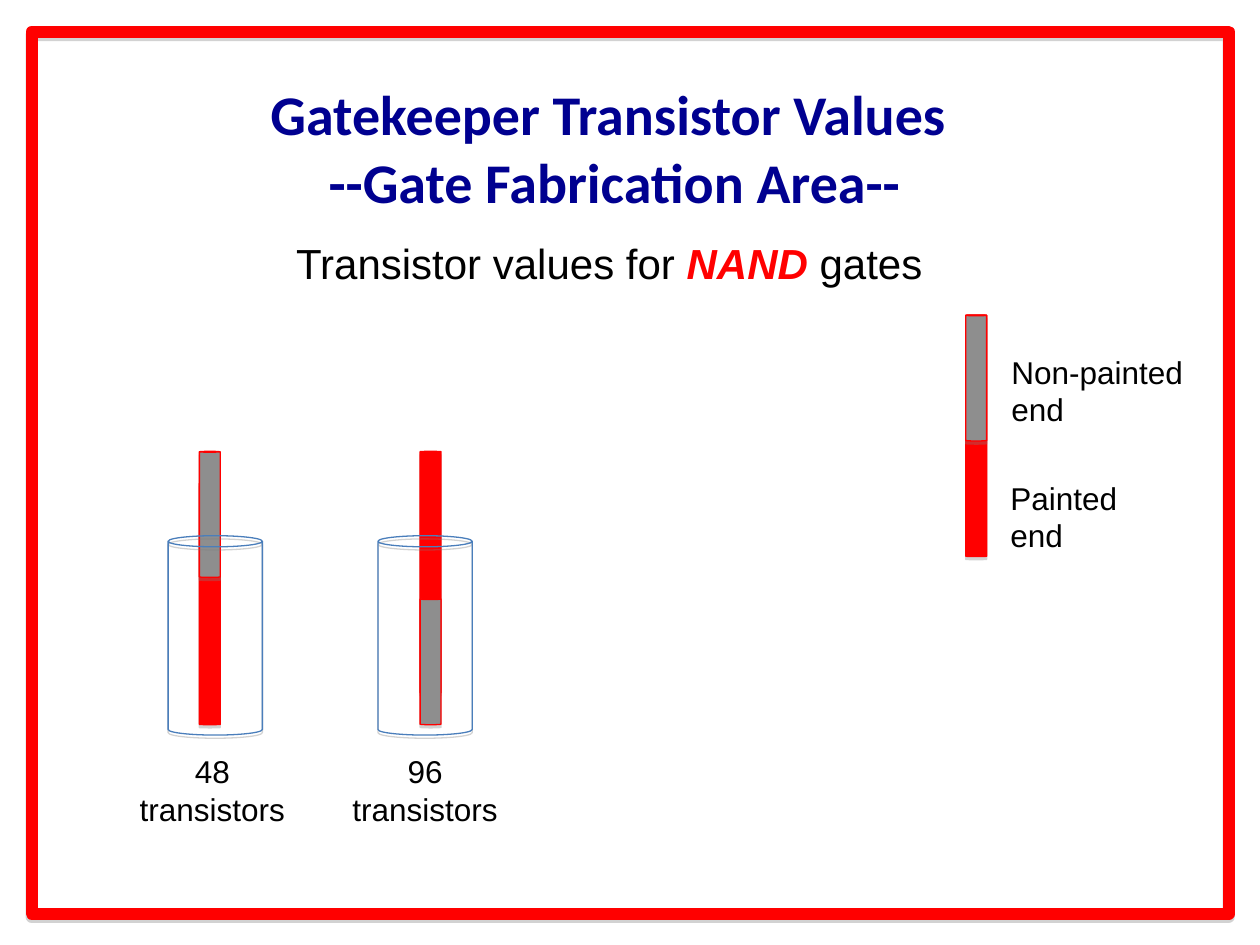
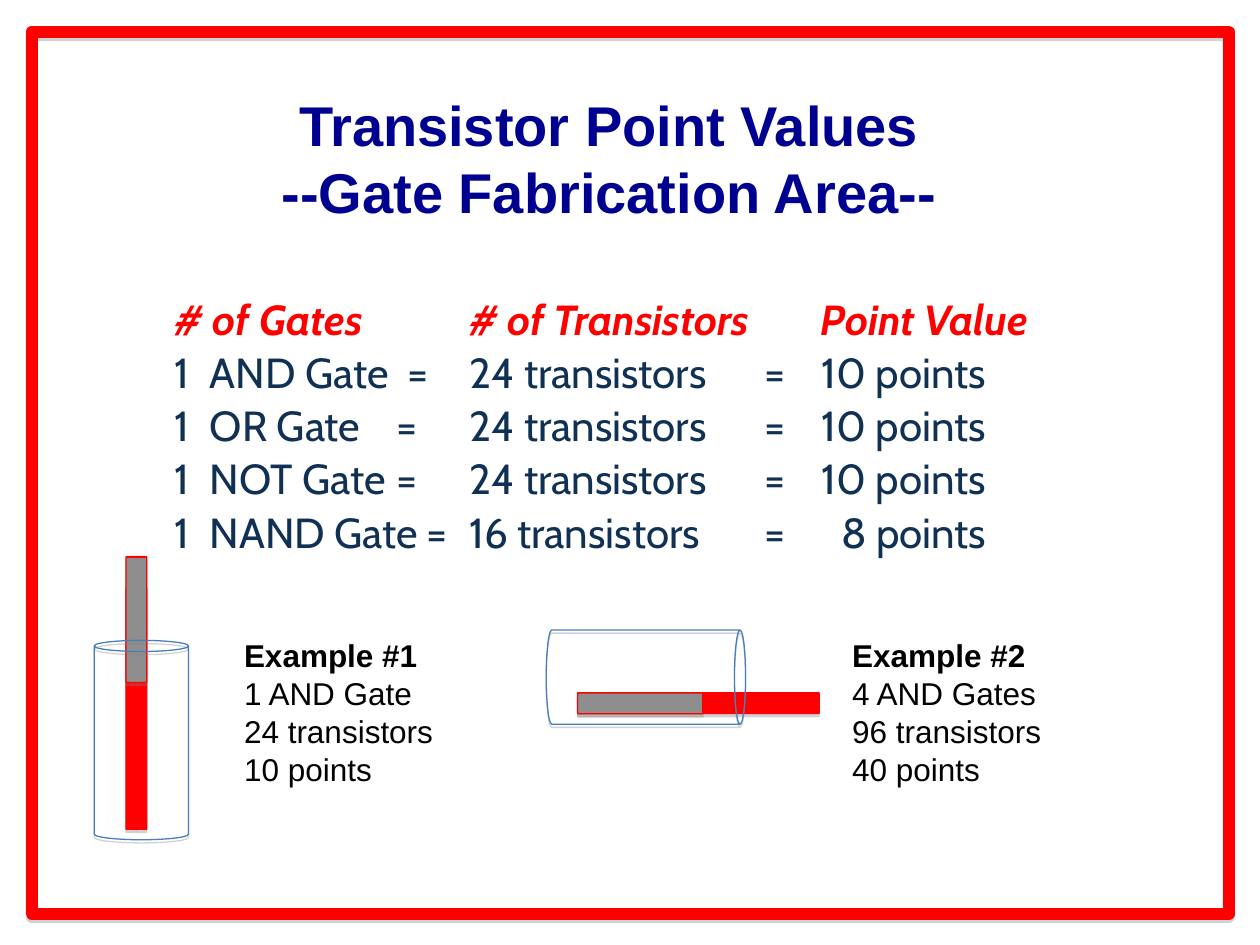
from dataclasses import dataclass

from lxml import etree
from pptx import Presentation
from pptx.dml.color import RGBColor
from pptx.enum.shapes import MSO_SHAPE
from pptx.enum.text import MSO_ANCHOR, PP_ALIGN
from pptx.oxml.ns import qn
from pptx.util import Cm, Pt

CAN, RECT = MSO_SHAPE.CAN, MSO_SHAPE.RECTANGLE
LEFT, CENTER = PP_ALIGN.LEFT, PP_ALIGN.CENTER
TOP, MIDDLE = MSO_ANCHOR.TOP, MSO_ANCHOR.MIDDLE


@dataclass(frozen=True)
class Theme:
    red: str = "FF0000"
    grey: str = "8E8E8E"
    blue: str = "4A7EBB"
    navy: str = "000090"
    ink: str = "103154"
    black: str = "000000"
    shadow: str = "808080"
    title: int = 32
    lead: int = 24
    body: int = 18
    sans: str = "Arial"
    table: str = "Cabin"


T = Theme()

# Content: lengths in cm, boxes are left, top, width, height
EMPHASIS = dict(color=T.red, bold=True, italic=True)
AREA = "--Gate Fabrication Area--"
VALUES_TITLE = ["Gatekeeper Transistor Values ", AREA]
POINTS_TITLE = ["Transistor Point Values", AREA]
LEAD = [[("Transistor values for ", {}), ("NAND ", EMPHASIS), ("gates", {})]]

LEGEND = [
    ((20.14, 6.98, 4.2, 1.78), ["Non-painted", "end"]),
    ((20.12, 9.52, 4.2, 1.78), ["Painted", "end"]),
]
COUNTS = [
    ((2.27, 15.03, 4.02, 1.78), ["48", "transistors"]),
    ((6.56, 15.03, 4.02, 1.78), ["96", "transistors"]),
]
EXAMPLES = [
    ((4.67, 12.7, 5, 3.3), "Example #1", ["1 AND Gate", "24 transistors", "10 points"]),
    ((16.93, 12.7, 6.55, 3.3), "Example #2", ["4 AND Gates", "96 transistors", "40 points"]),
]

# Score rows: gate, place of the first equals sign, transistors, points
HEADINGS = ("# of Gates", "# of Transistors", "Point Value")
HEADING_TABS = [(5.94, "l"), (13.03, "l")]
SCORES = [
    ("AND Gate", 4.7, 24, 10),
    ("OR Gate", 4.47, 24, 10),
    ("NOT Gate", 4.47, 24, 10),
    ("NAND Gate", 5.08, 16, 8),
]

# Can parts: width, height, rim, fill, line
CANS = {
    "painted": (0.42, 4.87, 0.022, T.red, T.red),
    "bare": (0.42, 2.54, 0.042, T.grey, T.red),
    "tube": (1.9, 4.02, 0.118, None, T.blue),
}
# Placed cans: part, left, top, rotation
VALUES_CANS = [
    ("painted", 19.47, 6.35, 0), ("bare", 19.47, 6.35, 0),
    ("painted", 4.02, 9.74, 0), ("bare", 4.02, 9.1, 0),
    ("painted", 8.47, 9.1, 0), ("bare", 8.47, 12.07, 0),
    ("tube", 7.62, 10.8, 0), ("tube", 3.39, 10.8, 0),
]
POINTS_CANS = [
    ("painted", 2.54, 11.85, 0), ("bare", 2.54, 11.22, 0), ("tube", 1.9, 12.91, 0),
    ("painted", 13.87, 11.74, 90), ("bare", 12.7, 12.91, 90), ("tube", 12.07, 11.64, 90),
]


def add_shadow(effects, dist=1.8, angle=90):
    shadow = etree.SubElement(effects, qn("a:outerShdw"), blurRad="0",
                              dist=str(Pt(dist)), dir=str(angle * 60000),
                              rotWithShape="0")
    color = etree.SubElement(shadow, qn("a:srgbClr"), val=T.shadow)
    etree.SubElement(color, qn("a:alpha"), val="35000")


def add_text(s, box, paras, font=T.sans, size=T.body, color=T.black, bold=False,
             italic=False, align=LEFT, anchor=TOP, inset=0.25, shadow=False,
             spacing=None, after=0, tabs=()):
    """Paragraphs are strings or lists of (text, overrides); tabs has one list each."""
    tf = s.shapes.add_textbox(*map(Cm, box)).text_frame
    tf.word_wrap = True
    tf.vertical_anchor = anchor
    tf.margin_left = tf.margin_right = Cm(inset)
    tf.margin_top = tf.margin_bottom = Cm(0.13)
    base = dict(color=color, bold=bold, italic=italic)
    for i, para in enumerate(paras):
        p = tf.paragraphs[0] if i == 0 else tf.add_paragraph()
        p.alignment = align
        p.space_after = Pt(after)
        if spacing:
            p.line_spacing = spacing
        if tabs:
            stops = etree.SubElement(p._p.get_or_add_pPr(), qn("a:tabLst"))
            for pos, side in tabs[i]:
                etree.SubElement(stops, qn("a:tab"), pos=str(Cm(pos)), algn=side)
        for text, changes in [(para, {})] if isinstance(para, str) else para:
            look = {**base, **changes}
            r = p.add_run()
            r.text = text
            r.font.name, r.font.size = font, Pt(size)
            r.font.bold, r.font.italic = look["bold"], look["italic"]
            r.font.color.rgb = RGBColor.from_string(look["color"])
            if shadow:
                effects = etree.Element(qn("a:effectLst"))
                add_shadow(effects, 3, 45)
                r._r.rPr.find(qn("a:solidFill")).addnext(effects)


def add_outline(s, kind, box, line, width, fill=None):
    sp = s.shapes.add_shape(kind, *map(Cm, box))
    if fill:
        sp.fill.solid()
        sp.fill.fore_color.rgb = RGBColor.from_string(fill)
    else:
        sp.fill.background()
    sp.line.color.rgb = RGBColor.from_string(line)
    sp.line.width = Pt(width)
    sp.shadow.inherit = False
    add_shadow(sp._element.spPr.find(qn("a:effectLst")))
    return sp


def add_cans(s, cans):
    for part, left, top, rotation in cans:
        width, height, rim, fill, line = CANS[part]
        sp = add_outline(s, CAN, (left, top, width, height), line, 0.75, fill)
        sp.adjustments[0] = rim
        sp.rotation = rotation


def add_framed_slide(prs, title, box, **look):
    s = prs.slides.add_slide(prs.slide_layouts[6])
    add_outline(s, RECT, (0.64, 0.64, 24.13, 17.78), T.red, 7)
    add_text(s, box, title, size=T.title, color=T.navy, bold=True, align=CENTER, **look)
    return s


def build_values(prs):
    s = add_framed_slide(prs, VALUES_TITLE, (4.45, 1.48, 15.88, 2.96), font="Calibri")
    add_text(s, (5.72, 4.66, 13.55, 1.28), LEAD, size=T.lead, shadow=True)
    add_cans(s, VALUES_CANS)
    for box, lines in LEGEND:
        add_text(s, box, lines)
    for box, lines in COUNTS:
        add_text(s, box, lines, align=CENTER)


def build_points(prs):
    s = add_framed_slide(prs, POINTS_TITLE, (4.66, 1.69, 15.24, 2.96), shadow=True)

    # Score list, aligned by tab stops
    rows, tabs = [[("\t".join(HEADINGS), EMPHASIS)]], [HEADING_TABS]
    for gate, equals, transistors, points in SCORES:
        rows.append(f"1\t{gate}\t=\t{transistors} transistors\t=\t{points} points")
        tabs.append([(0.71, "l"), (equals, "l"), (5.94, "l"), (11.89, "l"), (16.36, "r")])
    add_text(s, (3.39, 4.45, 20.53, 8.36), rows, font=T.table, size=T.lead, color=T.ink,
             anchor=MIDDLE, inset=0.13, shadow=True, spacing=0.9, after=4.5, tabs=tabs)

    # Worked examples
    add_cans(s, POINTS_CANS)
    for box, name, lines in EXAMPLES:
        add_text(s, box, [[(name, dict(bold=True))], *lines])


def main():
    prs = Presentation()
    prs.slide_width, prs.slide_height = Cm(25.4), Cm(19.05)
    build_values(prs)
    build_points(prs)
    prs.save("out.pptx")


if __name__ == "__main__":
    main()
